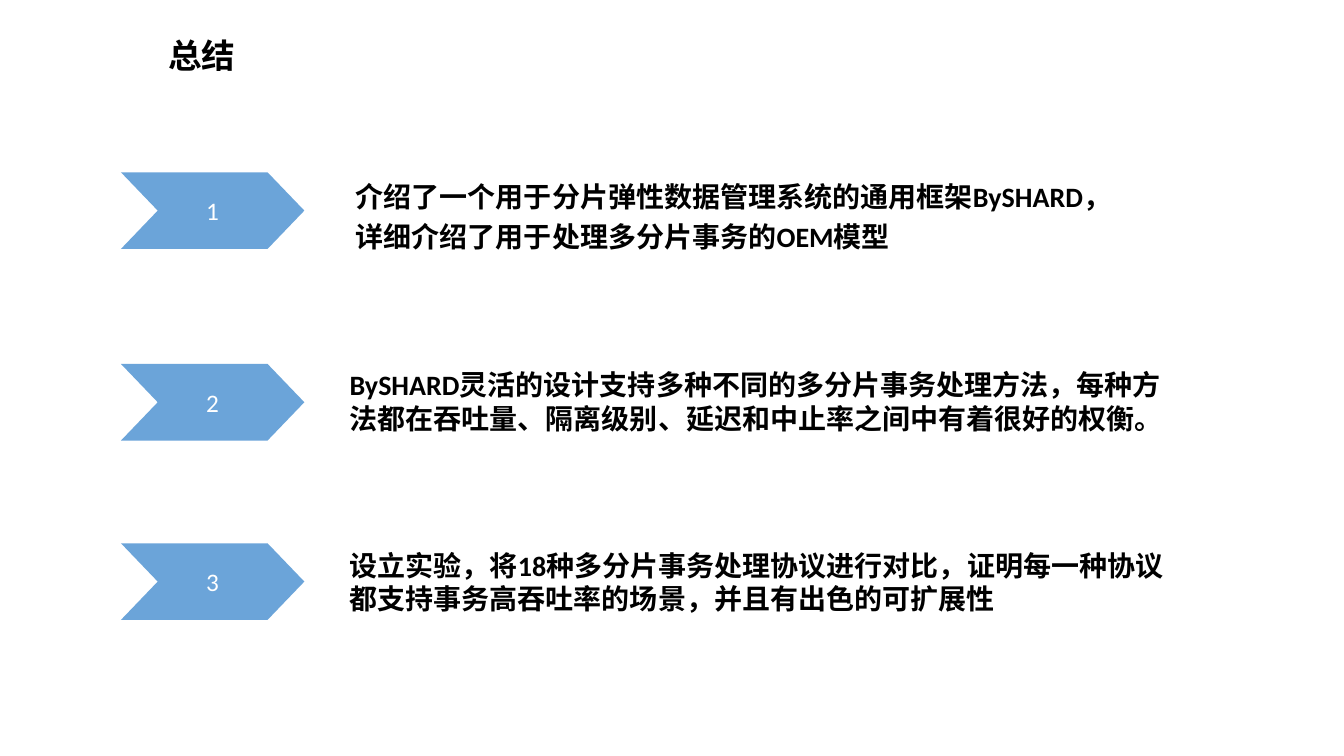
from pptx import Presentation
from pptx.dml.color import RGBColor
from pptx.enum.shapes import MSO_SHAPE
from pptx.enum.text import MSO_ANCHOR as ANCHOR, MSO_AUTO_SIZE as FIT, PP_ALIGN as ALIGN
from pptx.oxml.ns import qn
from pptx.util import Pt

CJK = "Noto Sans CJK SC"


def rgb(value):
    return RGBColor.from_string(value)


def write(sp, text, size=20, font="Calibri", color="000000", bold=True, align=ALIGN.LEFT,
          anchor=ANCHOR.TOP, spacing=1.0, insets=(7.2, 3.6, 7.2, 3.6)):
    """Fill a shape with one formatted paragraph; insets run left, top, right, bottom."""
    tf = sp.text_frame
    tf.word_wrap = True
    tf.auto_size = FIT.NONE
    tf.vertical_anchor = anchor
    tf.margin_left, tf.margin_top, tf.margin_right, tf.margin_bottom = map(Pt, insets)
    p = tf.paragraphs[0]
    p.alignment = align
    p.line_spacing = spacing
    r = p.add_run()
    r.text = text
    r.font.size = Pt(size)
    r.font.bold = bold
    r.font.name = font
    r.font.color.rgb = rgb(color)
    ea = r.font._element.makeelement(qn("a:ea"), {"typeface": CJK})
    r.font._element.find(qn("a:latin")).addnext(ea)


prs = Presentation()
prs.slide_width, prs.slide_height = Pt(960), Pt(540)
s = prs.slides.add_slide(prs.slide_layouts[5])

title = s.shapes.title
title.left, title.top, title.width, title.height = Pt(115.2), Pt(22.3), Pt(331.2), Pt(34.6)
write(title, "总结", size=24, font=CJK, insets=(5, 2.9, 5, 2.9))

# Chevron top, text top, text width, text height, text, extra format
points = [
    (123.1, 123.1, 555.8, 74.9,
     "介绍了一个用于分片弹性数据管理系统的通用框架BySHARD，详细介绍了用于处理多分片事务的OEM模型",
     {"spacing": 1.2, "insets": (11.5, 0, 0, 0)}),
    (260, 259.2, 613.4, 55.4,
     "BySHARD灵活的设计支持多种不同的多分片事务处理方法，每种方法都在吞吐量、隔离级别、延迟和中止率之间中有着很好的权衡。",
     {}),
    (388.1, 388.1, 613.4, 55.4,
     "设立实验，将18种多分片事务处理协议进行对比，证明每一种协议都支持事务高吞吐率的场景，并且有出色的可扩展性",
     {}),
]

for number, (top, text_top, width, height, text, style) in enumerate(points, 1):
    chevron = s.shapes.add_shape(MSO_SHAPE.CHEVRON, Pt(86.4), Pt(top), Pt(131), Pt(54.7))
    chevron.adjustments[0] = 0.48
    chevron.shadow.inherit = False
    chevron.line.fill.background()
    chevron.fill.solid()
    chevron.fill.fore_color.rgb = rgb("5B9BD5")
    fill = chevron._element.spPr.find(qn("a:solidFill"))[0]
    fill.append(fill.makeelement(qn("a:alpha"), {"val": "90000"}))
    write(chevron, str(number), size=18, color="FFFFFF", bold=False,
          align=ALIGN.CENTER, anchor=ANCHOR.MIDDLE)

    box = s.shapes.add_textbox(Pt(242.6), Pt(text_top), Pt(width), Pt(height))
    write(box, text, **style)

prs.save("out.pptx")
